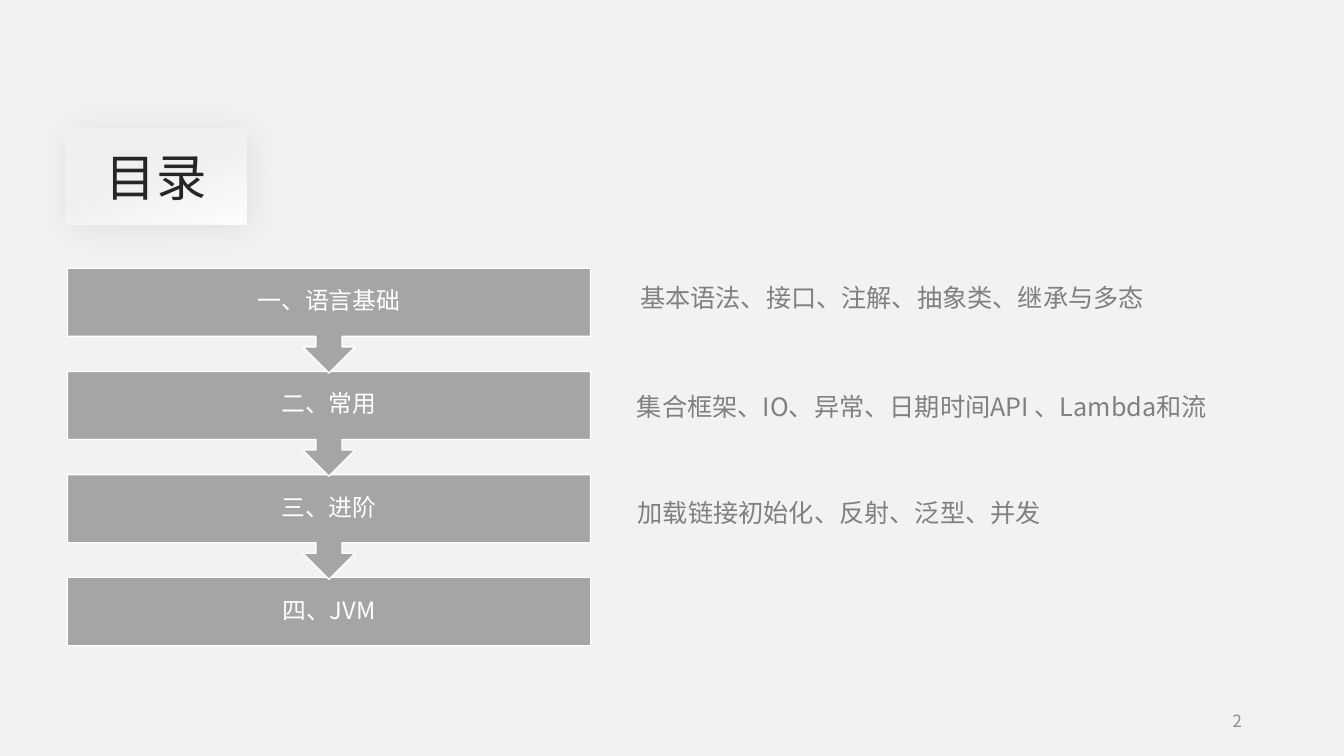
from lxml import etree
from pptx import Presentation
from pptx import util as u
from pptx.dml.color import RGBColor
from pptx.enum import shapes, text
from pptx.oxml import ns, parse_xml

FONT = "Noto Sans CJK SC"
COLORS = {
    "background": "F2F2F2",
    "highlight": "FFFFFF",
    "title": "262626",
    "box": "A5A5A5",
    "white": "FFFFFF",
    "topic": "808080",
    "number": "8C8C8C",
}
CHAPTERS = ["一、语言基础", "二、常用", "三、进阶", "四、JVM"]
# Topic text with its left and top in cm
TOPICS = [
    ("基本语法、接口、注解、抽象类、继承与多态", 15.88, 6.99),
    ("集合框架、IO、异常、日期时间API 、Lambda和流", 15.8, 9.73),
    ("加载链接初始化、反射、泛型、并发", 15.82, 12.4),
]
LEFT, TOP, WIDTH = 1.7, 6.76, 13.18
PITCH, BOX_HEIGHT, CALLOUT_HEIGHT = 2.6, 1.7, 2.64


def color(name):
    return RGBColor.from_string(COLORS[name])


def place(shape, left, top, width, height):
    shape.left, shape.top = u.Cm(left), u.Cm(top)
    shape.width, shape.height = u.Cm(width), u.Cm(height)


def write(shape, content, size, color_name, align, anchor=text.MSO_ANCHOR.MIDDLE):
    frame = shape.text_frame
    frame.text = content
    frame.word_wrap = True
    frame.vertical_anchor = anchor
    paragraph = frame.paragraphs[0]
    paragraph.alignment = align
    for run in paragraph.runs:
        run.font.size = u.Pt(size)
        run.font.name = FONT
        run.font.color.rgb = color(color_name)
        east_asian = etree.SubElement(run._r.get_or_add_rPr(), ns.qn("a:ea"))
        east_asian.set("typeface", FONT)
    return frame


def add_text(slide, bounds, *style):
    box = slide.shapes.add_textbox(*map(u.Cm, bounds))
    return write(box, *style)


def add_title(slide, content):
    title = slide.shapes.title
    place(title, 1.65, 3.23, 4.57, 2.44)
    write(title, content, 36, "title", text.PP_ALIGN.CENTER)
    # Gradient and soft shadow
    namespace = ns.nsdecls("a")
    base, light = COLORS["background"], COLORS["highlight"]
    properties = title._element.spPr
    properties.append(parse_xml(
        f'<a:gradFill {namespace} rotWithShape="1"><a:gsLst>'
        f'<a:gs pos="0"><a:srgbClr val="{base}"/></a:gs>'
        f'<a:gs pos="51000"><a:srgbClr val="{base}"/></a:gs>'
        f'<a:gs pos="100000"><a:srgbClr val="{light}"><a:alpha val="96000"/></a:srgbClr></a:gs>'
        '</a:gsLst><a:lin ang="4200000" scaled="0"/></a:gradFill>'))
    properties.append(parse_xml(
        f'<a:effectLst {namespace}><a:outerShdw blurRad="330200" dist="38100" dir="2700000">'
        '<a:srgbClr val="000000"><a:alpha val="8000"/></a:srgbClr>'
        '</a:outerShdw></a:effectLst>'))


def add_chapter(slide, content, top, has_arrow):
    kind = shapes.MSO_SHAPE.UP_ARROW_CALLOUT if has_arrow else shapes.MSO_SHAPE.RECTANGLE
    height = CALLOUT_HEIGHT if has_arrow else BOX_HEIGHT
    box = slide.shapes.add_shape(kind, *map(u.Cm, (LEFT, top, WIDTH, height)))
    box.rotation = 180 if has_arrow else 0
    box.shadow.inherit = False
    box.fill.solid()
    box.fill.fore_color.rgb = color("box")
    box.line.color.rgb = color("white")
    box.line.width = u.Pt(1)
    # The label stays upright above the turned callout
    frame = add_text(slide, (LEFT, top, WIDTH, BOX_HEIGHT),
                     content, 17, "white", text.PP_ALIGN.CENTER)
    frame.margin_left = frame.margin_right = u.Cm(0.33)
    frame.margin_top = frame.margin_bottom = u.Cm(0.33)
    frame.paragraphs[0].line_spacing = 0.9


def main():
    presentation = Presentation()
    presentation.slide_width, presentation.slide_height = u.Cm(33.87), u.Cm(19.05)
    slide = presentation.slides.add_slide(presentation.slide_layouts[5])
    slide.background.fill.solid()
    slide.background.fill.fore_color.rgb = color("background")

    # Heading and slide number
    add_title(slide, "目录")
    add_text(slide, (29.39, 17.65, 2.16, 1.02), "2", 12, "number", text.PP_ALIGN.RIGHT)

    # Chapters from bottom to top, so each arrow lies over the next box
    last = len(CHAPTERS) - 1
    for index, chapter in reversed(list(enumerate(CHAPTERS))):
        add_chapter(slide, chapter, TOP + index * PITCH, index < last)

    # Topics of each chapter
    for topic, left, top in TOPICS:
        add_text(slide, (left, top, 16.05, 1.02), topic, 18, "topic",
                 text.PP_ALIGN.LEFT, text.MSO_ANCHOR.TOP)

    presentation.save("out.pptx")


if __name__ == "__main__":
    main()
